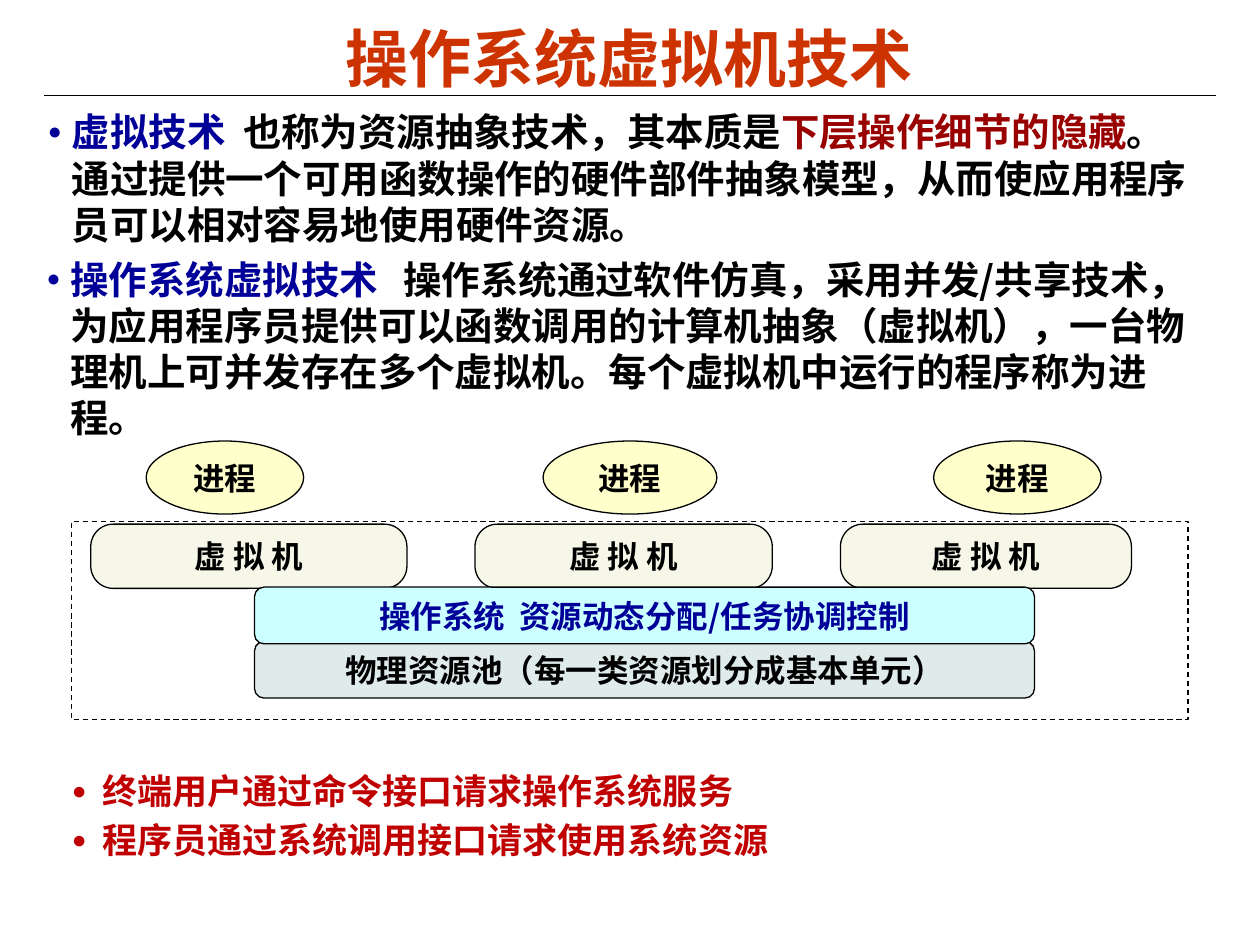
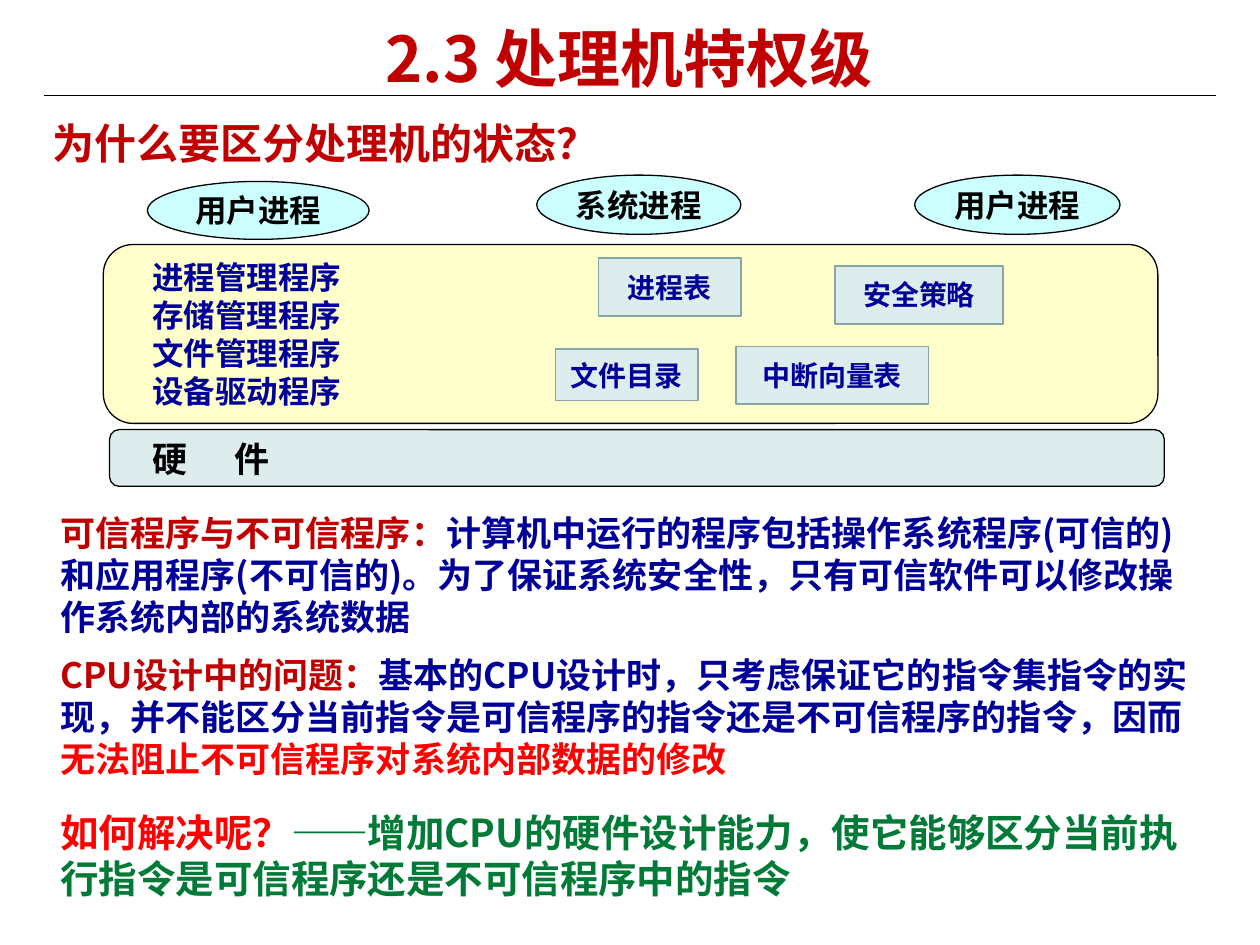
from dataclasses import dataclass
from typing import NamedTuple, Optional

from lxml import etree
from pptx import Presentation
from pptx.dml.color import RGBColor
from pptx.enum.dml import MSO_LINE
from pptx.enum.shapes import MSO_CONNECTOR, MSO_SHAPE
from pptx.enum.text import MSO_ANCHOR, MSO_AUTO_SIZE, PP_ALIGN
from pptx.oxml.ns import qn
from pptx.util import Inches, Pt

RECTANGLE, ELLIPSE = MSO_SHAPE.RECTANGLE, MSO_SHAPE.OVAL
ROUNDED, PANEL = MSO_SHAPE.ROUNDED_RECTANGLE, MSO_SHAPE.FLOWCHART_ALTERNATE_PROCESS
LEFT, CENTER = PP_ALIGN.LEFT, PP_ALIGN.CENTER
TOP, MIDDLE = MSO_ANCHOR.TOP, MSO_ANCHOR.MIDDLE
DASHED, STRAIGHT = MSO_LINE.DASH, MSO_CONNECTOR.STRAIGHT

FONT, BULLET_FONT = "Noto Sans CJK SC", "Arial"
BLACK, WHITE, NAVY = "000000", "FFFFFF", "000099"
RED, BRIGHT_RED, DARK_RED = "C00000", "FF0000", "990000"
ORANGE, GREEN = "CC3300", "007A37"
CREAM, IVORY, AQUA = "FFFFCC", "F7F7E9", "CCFFFF"
MIST, PALE_GRAY, SLATE = "DDECED", "DFEAEB", "89A4A7"

SLIDE_WIDTH, SLIDE_HEIGHT = Inches(10), Inches(7.5)
COLUMNS, ROWS = 100, 75
COMPARISON_LAYOUT = 4


class Area(NamedTuple):
    """Left, top, width and height in grid columns and rows."""
    left: float
    top: float
    width: float
    height: float


class Span(NamedTuple):
    text: str
    color: str = BLACK
    tracking: float = 0


class Bullet(NamedTuple):
    color: str
    percent: int
    indent: float


@dataclass
class TextStyle:
    size: float
    align: PP_ALIGN = LEFT
    anchor: MSO_ANCHOR = TOP
    inset: tuple = (1, 0.5)
    left_inset: Optional[float] = None
    before: float = 0
    line_spacing: float = 1
    bullet: Optional[Bullet] = None


@dataclass
class Passage:
    area: Area
    style: TextStyle
    paras: list


@dataclass
class Block:
    area: Area
    kind: MSO_SHAPE
    fill: str
    style: Optional[TextStyle] = None
    paras: tuple = ()
    edge: str = BLACK
    edge_width: float = 0.75
    dash: Optional[MSO_LINE] = None
    corner: Optional[float] = None


TITLE_AREA = Area(3.7, 1.6, 92.5, 5.9)
TITLE_STYLE = TextStyle(36, CENTER, MIDDLE)
RULE_LEFT, RULE_RIGHT, RULE_TOP = 3.5, 96.5, 7.6
LABEL = TextStyle(18, CENTER, MIDDLE)
ELLIPSE_LABEL = TextStyle(18, CENTER, MIDDLE, inset=(0, 0))
SMALL_LABEL = TextStyle(16, CENTER, MIDDLE)
BODY_INSET = (1.1, 0.6)


def across(columns: float) -> int:
    return round(SLIDE_WIDTH * columns / COLUMNS)


def down(rows: float) -> int:
    return round(SLIDE_HEIGHT * rows / ROWS)


def rgb(color: str) -> RGBColor:
    return RGBColor.from_string(color)


def place(box, area: Area) -> None:
    box.left, box.width = across(area.left), across(area.width)
    box.top, box.height = down(area.top), down(area.height)


def set_bullet(para, bullet: Optional[Bullet]) -> None:
    props = para._p.get_or_add_pPr()
    indent = across(bullet.indent) if bullet else 0
    props.set("marL", str(indent))
    props.set("indent", str(-indent))
    if bullet is None:
        etree.SubElement(props, qn("a:buNone"))
        return
    color = etree.SubElement(props, qn("a:buClr"))
    etree.SubElement(color, qn("a:srgbClr"), val=bullet.color)
    etree.SubElement(props, qn("a:buSzPct"), val=str(bullet.percent * 1000))
    etree.SubElement(props, qn("a:buFont"), typeface=BULLET_FONT)
    etree.SubElement(props, qn("a:buChar"), char="●")


def add_span(para, span: Span, size: float) -> None:
    run = para.add_run()
    run.text = span.text
    run.font.size, run.font.bold, run.font.name = Pt(size), True, FONT
    run.font.color.rgb = rgb(span.color)
    props = run._r.get_or_add_rPr()
    etree.SubElement(props, qn("a:ea"), typeface=FONT)
    if span.tracking:
        props.set("spc", str(round(span.tracking * 100)))


def write(box, style: TextStyle, paras) -> None:
    frame = box.text_frame
    frame.auto_size, frame.word_wrap = MSO_AUTO_SIZE.NONE, True
    frame.vertical_anchor = style.anchor
    side, edge = style.inset
    frame.margin_left = across(side if style.left_inset is None else style.left_inset)
    frame.margin_right = across(side)
    frame.margin_top = frame.margin_bottom = down(edge)
    for number, spans in enumerate(paras):
        para = frame.add_paragraph() if number else frame.paragraphs[0]
        para.alignment = style.align
        para.space_before, para.space_after = Pt(style.before), Pt(0)
        para.line_spacing = style.line_spacing
        para._p.get_or_add_pPr().set("hangingPunct", "0")
        set_bullet(para, style.bullet)
        for span in spans:
            add_span(para, span, style.size)


def draw_block(page, block: Block) -> None:
    shape = page.shapes.add_shape(block.kind, 0, 0, 0, 0)
    place(shape, block.area)
    shape.shadow.inherit = False
    shape.fill.solid()
    shape.fill.fore_color.rgb = rgb(block.fill)
    shape.line.color.rgb = rgb(block.edge)
    shape.line.width = Pt(block.edge_width)
    if block.dash:
        shape.line.dash_style = block.dash
    if block.corner:
        shape.adjustments[0] = block.corner
    if block.style:
        write(shape, block.style, block.paras)


def add_rule_to_layout(page) -> None:
    """Draw the line under the title and hand it to the shared layout."""
    rule = page.shapes.add_connector(
        STRAIGHT, across(RULE_LEFT), down(RULE_TOP), across(RULE_RIGHT), down(RULE_TOP))
    rule.line.color.rgb = rgb(BLACK)
    rule.line.width = Pt(0.75)
    etree.SubElement(rule._element.spPr, qn("a:effectLst"))
    page.slide_layout.shapes._spTree.append(rule._element)


def add_page(deck, title: Span, passages: list, blocks: list):
    page = deck.slides.add_slide(deck.slide_layouts[COMPARISON_LAYOUT])
    place(page.shapes.title, TITLE_AREA)
    write(page.shapes.title, TITLE_STYLE, [[title]])
    bodies = list(page.placeholders)[1:]
    for body, passage in zip(bodies, passages):
        place(body, passage.area)
        write(body, passage.style, passage.paras)
    for unused in bodies[len(passages):]:
        unused._element.getparent().remove(unused._element)
    for block in blocks:
        draw_block(page, block)
    return page


def add_virtual_machine_page(deck):
    bullet = Bullet(NAVY, 60, 1.9)
    passages = [
        Passage(Area(2.7, 8, 93, 12.1), TextStyle(22, inset=BODY_INSET, bullet=bullet), [[
            Span("虚拟技术", NAVY),
            Span(" ", NAVY, tracking=5),
            Span("也称为资源抽象技术，其本质是"),
            Span("下层操作细节的隐藏", DARK_RED),
            Span("。通过提供一个可用函数操作的硬件部件抽象模型，"
                 "从而使应用程序员可以相对容易地使用硬件资源。"),
        ]]),
        Passage(Area(2.7, 19.8, 94.2, 12), TextStyle(22, bullet=bullet), [[
            Span("操作系统虚拟技术", NAVY),
            Span(" ", NAVY, tracking=9.5),
            Span("操作系统通过软件仿真，采用并发/共享技术，"
                 "为应用程序员提供可以函数调用的计算机抽象（虚拟机），"
                 "一台物理机上可并发存在多个虚拟机。每个虚拟机中运行的程序称为进程。"),
        ]]),
        Passage(Area(4.7, 60.6, 91.1, 8.2),
                TextStyle(20, before=4, bullet=Bullet(RED, 70, 2.4)), [
            [Span("终端用户通过命令接口请求操作系统服务", RED)],
            [Span("程序员通过系统调用接口请求使用系统资源", RED)],
        ]),
    ]
    blocks = [Block(Area(5.7, 41.4, 88.6, 15.7), RECTANGLE, WHITE, dash=DASHED)]
    for left, width in ((11.6, 12.5), (43.1, 13.8), (74.1, 13.3)):
        blocks.append(Block(Area(left, 35, width, 5.8), ELLIPSE, CREAM, ELLIPSE_LABEL,
                            [[Span("进程")]]))
    for left, width in ((7.2, 25.1), (37.7, 23.6), (66.7, 23.1)):
        blocks.append(Block(Area(left, 41.6, width, 5.1), ROUNDED, IVORY, LABEL,
                            [[Span("虚 拟 机")]], corner=0.35))
    layers = (
        (50.9, PALE_GRAY, [Span("物理资源池（每一类资源划分成基本单元）")]),
        (46.6, AQUA, [Span("操作系统", NAVY), Span(" ", NAVY, tracking=4),
                      Span("资源动态分配/任务协调控制", NAVY)]),
    )
    for top, fill, spans in layers:
        blocks.append(Block(Area(20.2, top, 61.9, 4.5), ROUNDED, fill, LABEL, [spans]))
    return add_page(deck, Span("操作系统虚拟机技术", ORANGE), passages, blocks)


def add_privilege_page(deck):
    body = TextStyle(20, inset=BODY_INSET)
    passages = [
        Passage(Area(3.2, 8, 62.8, 5.8), TextStyle(24, before=6, line_spacing=1.2),
                [[Span("为什么要区分处理机的状态？", RED)]]),
        Passage(Area(3.7, 40, 93, 11.1), body, [[
            Span("可信程序与不可信程序：", RED),
            Span("计算机中运行的程序包括操作系统程序(可信的)和应用程序(不可信的)。"
                 "为了保证系统安全性，只有可信软件可以修改操作系统内部的系统数据", NAVY),
        ]]),
        Passage(Area(3.7, 51.3, 92.5, 11.1), body, [[
            Span("CPU设计中的问题：", RED),
            Span("基本的CPU设计时，只考虑保证它的指令集指令的实现，"
                 "并不能区分当前指令是可信程序的指令还是不可信程序的指令，因而", NAVY),
            Span("无法阻止不可信程序对系统内部数据的修改", BRIGHT_RED),
        ]]),
        Passage(Area(3.7, 63.6, 91.1, 8.4), TextStyle(22, inset=BODY_INSET), [[
            Span("如何解决呢？", BRIGHT_RED),
            Span("——增加CPU的硬件设计能力，使它能够区分当前执行指令"
                 "是可信程序还是不可信程序中的指令", GREEN),
        ]]),
    ]
    processes = (
        (Area(11.7, 14.4, 17.6, 4.6), "用户进程"),
        (Area(42.6, 13.9, 16.2, 4.7), "系统进程"),
        (Area(72.6, 13.9, 16.3, 4.7), "用户进程"),
    )
    kernel_programs = ("进程管理程序", "存储管理程序", "文件管理程序", "设备驱动程序")
    kernel_tables = (
        (Area(47.5, 20.5, 11.3, 4.6), "进程表"),
        (Area(44.1, 27.7, 11.3, 4.1), "文件目录"),
        (Area(66.3, 21.1, 13.3, 4.6), "安全策略"),
        (Area(58.4, 27.5, 15.3, 4.6), "中断向量表"),
    )
    blocks = [Block(area, ELLIPSE, AQUA, ELLIPSE_LABEL, [[Span(name)]])
              for area, name in processes]
    blocks += [
        Block(Area(8.2, 19.4, 83.7, 14.2), PANEL, CREAM,
              TextStyle(18, anchor=MIDDLE, left_inset=3.2),
              [[Span(name, NAVY)] for name in kernel_programs]),
        Block(Area(8.7, 34.1, 83.7, 4.5), PANEL, MIST,
              TextStyle(20, anchor=MIDDLE, left_inset=3.2),
              [[Span("硬", tracking=27), Span("件")]]),
    ]
    blocks += [Block(area, RECTANGLE, MIST, SMALL_LABEL, [[Span(name, NAVY)]],
                     edge=SLATE, edge_width=1)
               for area, name in kernel_tables]
    return add_page(deck, Span("2.3 处理机特权级", RED), passages, blocks)


def main() -> None:
    deck = Presentation()
    deck.slide_width, deck.slide_height = SLIDE_WIDTH, SLIDE_HEIGHT
    add_rule_to_layout(add_virtual_machine_page(deck))
    add_privilege_page(deck)
    deck.save("out.pptx")


if __name__ == "__main__":
    main()
